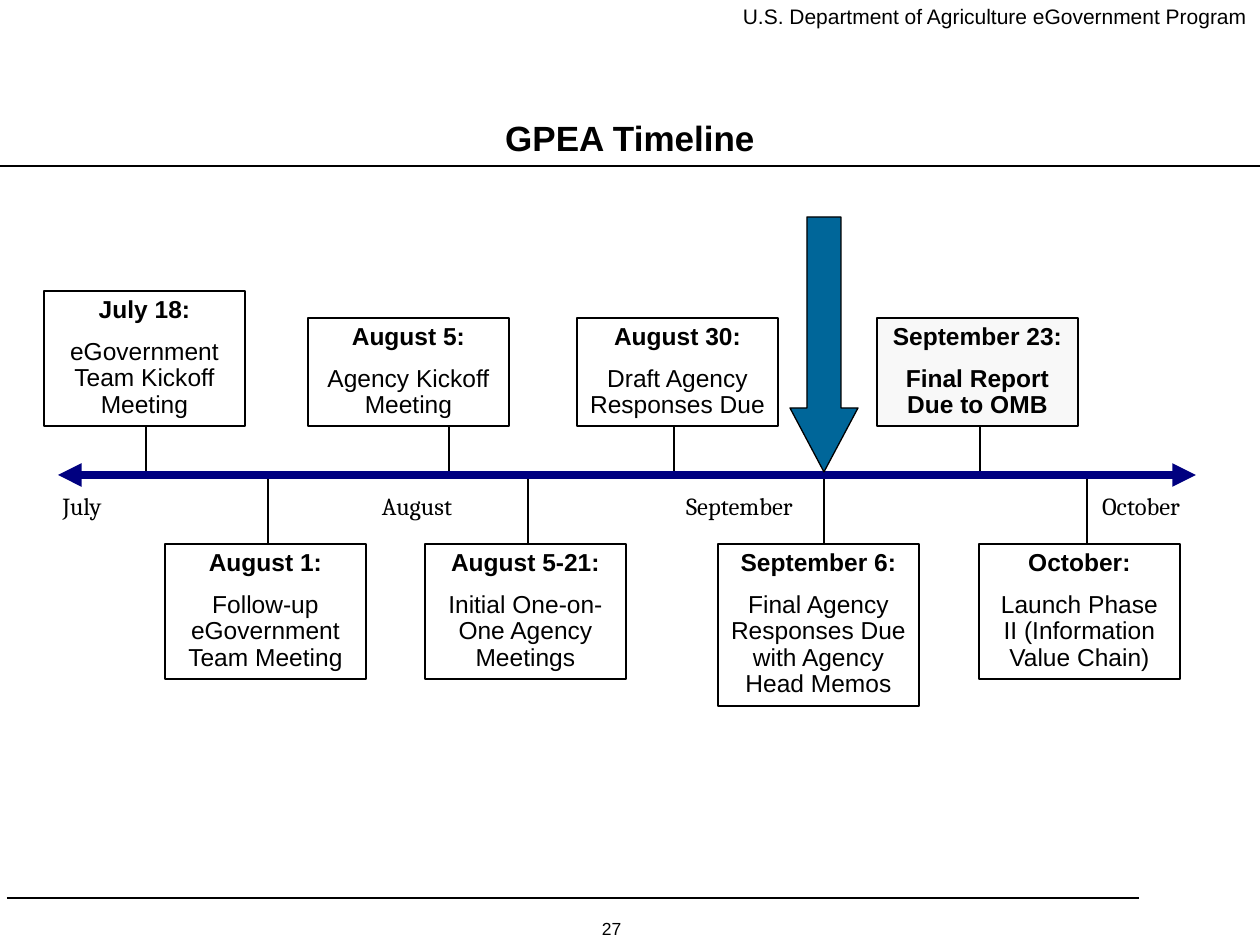
from lxml.etree import SubElement
from pptx import Presentation
from pptx.dml.color import RGBColor
from pptx.enum.shapes import MSO_CONNECTOR, MSO_SHAPE
from pptx.enum.text import MSO_ANCHOR, PP_ALIGN
from pptx.oxml.ns import qn
from pptx.util import Emu, Pt

PX = 914400 / 126
BLACK = RGBColor(0x00, 0x00, 0x00)
NAVY = RGBColor(0x00, 0x00, 0x80)
TEAL = RGBColor(0x00, 0x66, 0x99)
PALE = RGBColor(0xF8, 0xF8, 0xF8)

AXIS_Y = 475
BOX_WIDTH = 201
UPPER_BOTTOM, LOWER_TOP = 426, 544
HEADING_HEIGHT, LINE_HEIGHT = 54, 27

HEADER = ("U.S. Department of Agriculture eGovernment Program", (730, 0, 530, 35))
TITLE = ("GPEA Timeline", (0, 87, 1260, 78))
PAGE_NUMBER = ("27", (495, 908, 233, 37))
RULES = [(0, 166, 1260, 166), (7, 898, 1139, 898)]
MONTHS = [("July", 47, 70), ("August", 364, 106), ("September", 664, 151), ("October", 1082, 118)]
MONTH_TOP, MONTH_HEIGHT = 488, 39
DOWN_ARROW = (790, 217, 68, 255)

# Box left, stem x, date, event, lines of event text
UPPER_MILESTONES = [
    (44, 146, "July 18:", "eGovernment Team Kickoff Meeting", 3),
    (308, 449, "August 5:", "Agency Kickoff Meeting", 2),
    (577, 674, "August 30:", "Draft Agency Responses Due", 2),
    (877, 980, "September 23:", "Final Report Due to OMB", 2),
]
LOWER_MILESTONES = [
    (165, 268, "August 1:", "Follow-up eGovernment Team Meeting", 3),
    (425, 528, "August 5-21:", "Initial One-on-One Agency Meetings", 3),
    (718, 824, "September 6:", "Final Agency Responses Due with Agency Head Memos", 4),
    (979, 1087, "October:", "Launch Phase II (Information Value Chain)", 3),
]
FINAL_DATE = "September 23:"

BODY = {"name": "Arial", "size": Pt(14), "bold": False}
BOLD = {**BODY, "bold": True}
MONTH = {**BODY, "name": "Cambria"}


def px(*lengths):
    return [Emu(round(length * PX)) for length in lengths]


def write(paragraph, text, font_format, spacing=0.9):
    paragraph.alignment = PP_ALIGN.CENTER
    paragraph.line_spacing = spacing
    font = paragraph.add_run().font
    paragraph.runs[0].text = text
    font.color.rgb = BLACK
    for name, value in font_format.items():
        setattr(font, name, value)


def add_label(slide, text, place, font_format, anchor=MSO_ANCHOR.TOP, wrap=False, spacing=0.9):
    frame = slide.shapes.add_textbox(*px(*place)).text_frame
    frame.word_wrap = wrap
    frame.vertical_anchor = anchor
    write(frame.paragraphs[0], text, font_format, spacing)


def add_line(slide, ends, color=BLACK, width=0.75, arrows=False):
    connector = slide.shapes.add_connector(MSO_CONNECTOR.STRAIGHT, *px(*ends))
    connector.line.color.rgb = color
    connector.line.width = Pt(width)
    if arrows:
        for end in ("a:headEnd", "a:tailEnd"):
            SubElement(connector.line._get_or_add_ln(), qn(end), type="triangle")
    SubElement(connector._element.spPr, qn("a:effectLst"))


def add_outlined(slide, kind, place, fill=None):
    shape = slide.shapes.add_shape(kind, *px(*place))
    shape.shadow.inherit = False
    shape.line.color.rgb = BLACK
    shape.line.width = Pt(0.75)
    if fill is None:
        shape.fill.background()
    else:
        shape.fill.solid()
        shape.fill.fore_color.rgb = fill
    return shape


def add_milestone(slide, milestone, upper):
    left, stem_x, date, event, lines = milestone
    height = HEADING_HEIGHT + LINE_HEIGHT * lines
    top = UPPER_BOTTOM - height if upper else LOWER_TOP
    final = date == FINAL_DATE
    box = add_outlined(slide, MSO_SHAPE.RECTANGLE, (left, top, BOX_WIDTH, height),
                       PALE if final else None)
    frame = box.text_frame
    frame.word_wrap = True
    frame.vertical_anchor = MSO_ANCHOR.TOP
    write(frame.paragraphs[0], date, BOLD)
    paragraph = frame.add_paragraph()
    paragraph.space_before = Pt(8.8)
    write(paragraph, event, BOLD if final else BODY)
    add_line(slide, (stem_x, UPPER_BOTTOM if upper else LOWER_TOP, stem_x, AXIS_Y))


def main():
    presentation = Presentation()
    presentation.slide_width, presentation.slide_height = px(1260, 945)
    slide = presentation.slides.add_slide(presentation.slide_layouts[6])

    add_label(slide, *HEADER, {**BODY, "size": Pt(12)})
    add_label(slide, *TITLE, {**BOLD, "size": Pt(20)}, MSO_ANCHOR.BOTTOM, True, 1.0)
    add_label(slide, *PAGE_NUMBER, {**BODY, "size": Pt(10)}, MSO_ANCHOR.BOTTOM, True, 0.8)
    for rule in RULES:
        add_line(slide, rule)
    for month, left, width in MONTHS:
        add_label(slide, month, (left, MONTH_TOP, width, MONTH_HEIGHT), MONTH)

    for milestones, upper in ((UPPER_MILESTONES, True), (LOWER_MILESTONES, False)):
        for milestone in milestones:
            add_milestone(slide, milestone, upper)
    add_line(slide, (58, AXIS_Y, 1196, AXIS_Y), NAVY, 4.5, arrows=True)
    arrow = add_outlined(slide, MSO_SHAPE.DOWN_ARROW, DOWN_ARROW, TEAL)
    arrow.adjustments[0] = 0.5
    arrow.adjustments[1] = 0.94

    presentation.save("out.pptx")


if __name__ == "__main__":
    main()
